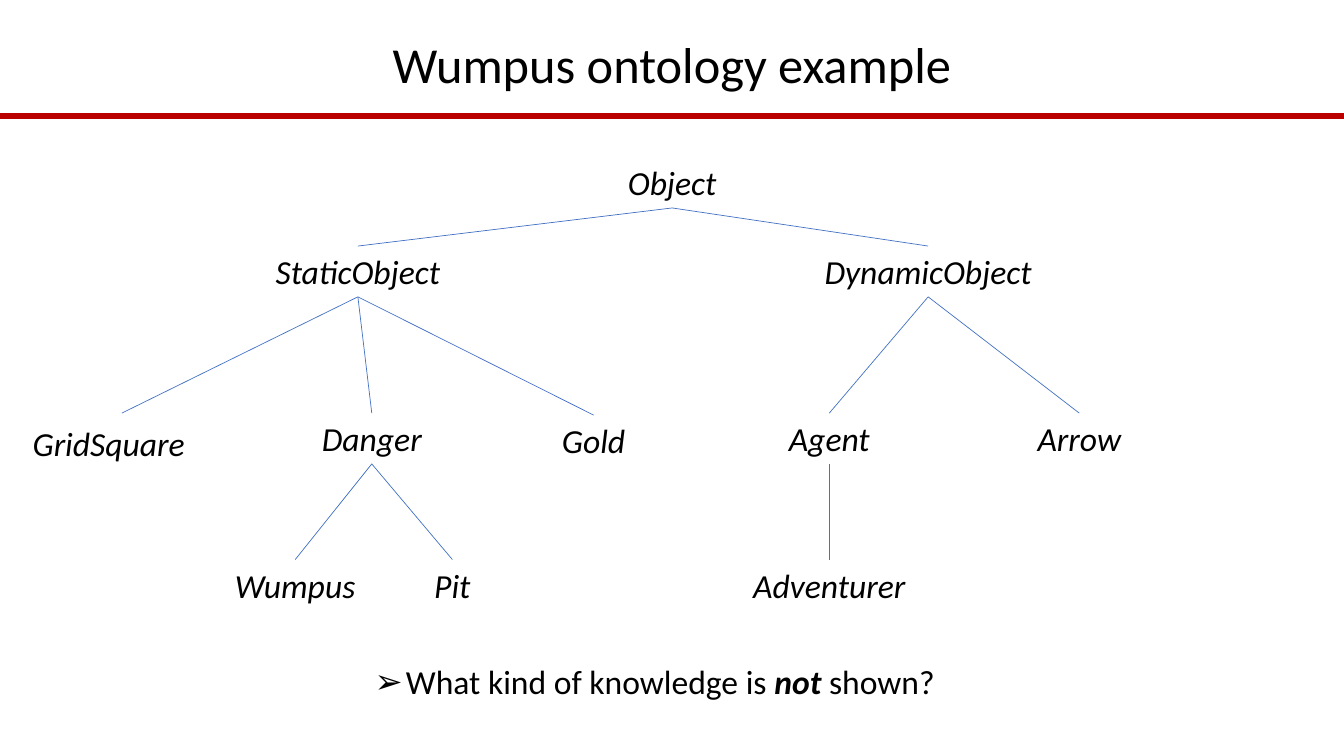
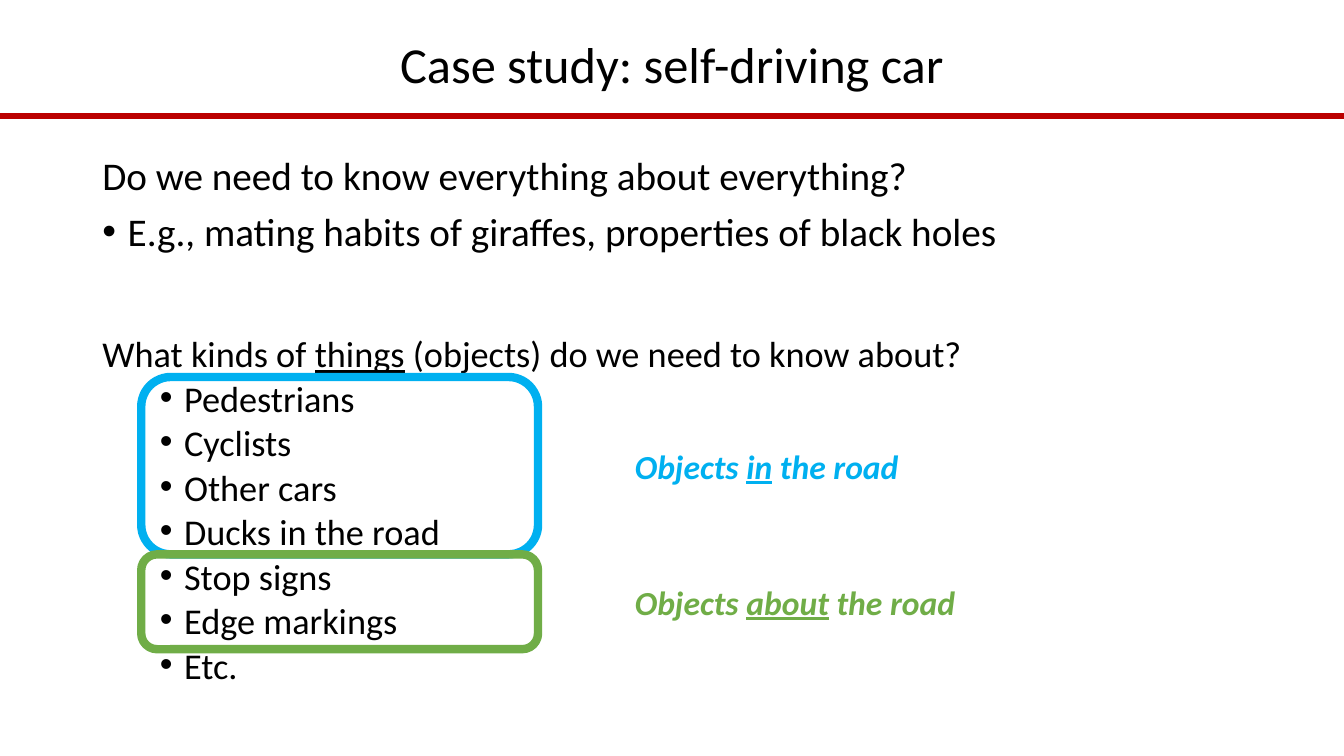
from lxml.etree import SubElement
from pptx import Presentation
from pptx.dml.color import RGBColor
from pptx.enum.shapes import MSO_CONNECTOR as Connector, MSO_SHAPE as Shape
from pptx.enum.text import MSO_ANCHOR as Anchor, PP_ALIGN as Align
from pptx.oxml.ns import qn
from pptx.util import Cm, Pt

FONT = "Calibri"
BLACK, RED, BLUE = "000000", "BB0000", "4472C4"
CYAN, GREEN = "00B0F0", "70AD47"
SLIDE_WIDTH, SLIDE_HEIGHT = 33.87, 19.05
MARGIN, BODY_WIDTH = 2.33, 29.21
LABEL_HEIGHT = 1.28
NODE_WIDTH = 7.92

NODES = {
    "Object": (16.94, 3.96, NODE_WIDTH),
    "StaticObject": (9.02, 6.2, NODE_WIDTH),
    "DynamicObject": (23.39, 6.2, NODE_WIDTH),
    "GridSquare": (2.74, 10.52, 4.72),
    "Danger": (9.37, 10.41, NODE_WIDTH),
    "Gold": (14.96, 10.46, NODE_WIDTH),
    "Agent": (20.9, 10.41, NODE_WIDTH),
    "Arrow": (27.2, 10.41, NODE_WIDTH),
    "Wumpus": (7.44, 14.1, NODE_WIDTH),
    "Pit": (11.4, 14.1, NODE_WIDTH),
    "Adventurer": (20.9, 14.1, NODE_WIDTH),
}
CHILDREN = {
    "Object": ["StaticObject", "DynamicObject"],
    "StaticObject": ["GridSquare", "Danger", "Gold"],
    "DynamicObject": ["Agent", "Arrow"],
    "Danger": ["Wumpus", "Pit"],
    "Agent": ["Adventurer"],
}
LOOSE_ENDS = {"GridSquare": (3.07, 10.41)}

ROAD_THINGS = ["Pedestrians", "Cyclists", "Other cars", "Ducks in the road",
               "Stop signs", "Edge markings", "Etc."]


def color(value):
    return RGBColor.from_string(value)


def add_text_frame(slide, left, top, width, height, anchor=Anchor.TOP):
    text_box = slide.shapes.add_textbox(Cm(left), Cm(top), Cm(width), Cm(height))
    text_box.text_frame.word_wrap = True
    text_box.text_frame.vertical_anchor = anchor
    return text_box


def set_bullet(paragraph, character, left, hanging):
    properties = paragraph._p.get_or_add_pPr()
    properties.set("marL", str(Cm(left)))
    properties.set("indent", str(-Cm(hanging)))
    SubElement(properties, qn("a:buFont")).set("typeface", "Arial")
    SubElement(properties, qn("a:buChar")).set("char", character)


def write(text_box, runs, size, tint=BLACK, align=Align.LEFT, bold=None,
          italic=None, spacing=None, before=None, bullet=None):
    frame = text_box.text_frame
    paragraph = frame.paragraphs[0]
    if paragraph.runs:
        paragraph = frame.add_paragraph()
    paragraph.alignment = align
    paragraph.line_spacing = spacing
    paragraph.space_before = None if before is None else Pt(before)
    if bullet:
        set_bullet(paragraph, *bullet)
    font = paragraph.font
    font.name, font.size = FONT, Pt(size)
    font.bold, font.italic = bold, italic
    font.color.rgb = color(tint)
    for text, *styles in runs:
        run = paragraph.add_run()
        run.text = text
        for style in styles:
            setattr(run.font, style, True)


def add_line(slide, start, end, tint, weight):
    points = [Cm(length) for length in (*start, *end)]
    line = slide.shapes.add_connector(Connector.STRAIGHT, *points)
    line.line.color.rgb = color(tint)
    line.line.width = Pt(weight)
    SubElement(line._element.spPr, qn("a:effectLst"))
    return line


def add_titled_slide(presentation, title):
    slide = presentation.slides.add_slide(presentation.slide_layouts[6])
    add_line(slide, (0, 2.92), (SLIDE_WIDTH, 2.92), RED, 4)
    title_box = add_text_frame(slide, MARGIN, 0.86, BODY_WIDTH, 1.68, Anchor.MIDDLE)
    write(title_box, [(title,)], 36, align=Align.CENTER, spacing=0.9)
    return slide


def add_node(slide, name):
    center, top, width = NODES[name]
    node = add_text_frame(slide, center - width / 2, top, width, LABEL_HEIGHT)
    write(node, [(name,)], 24, align=Align.CENTER, italic=True)
    return node


def add_branch(slide, nodes, parent, child):
    center, top, _ = NODES[parent]
    end = LOOSE_ENDS.get(child, NODES[child][:2])
    branch = add_line(slide, (center, top + LABEL_HEIGHT), end, BLUE, 0.5)
    branch.begin_connect(nodes[parent], 2)
    if child not in LOOSE_ENDS:
        branch.end_connect(nodes[child], 0)


def add_frame(slide, top, height, tint):
    frame = slide.shapes.add_shape(
        Shape.ROUNDED_RECTANGLE, Cm(3.56), Cm(top), Cm(10), Cm(height))
    frame.shadow.inherit = False
    frame.fill.background()
    frame.line.color.rgb = color(tint)
    frame.line.width = Pt(6)


def add_group_label(slide, top, word, tint):
    label = add_text_frame(slide, 15.75, top, 9.91, LABEL_HEIGHT)
    runs = [("Objects ",), (word, "underline"), (" the road",)]
    write(label, runs, 24, tint, bold=True, italic=True)


def build_ontology(presentation):
    slide = add_titled_slide(presentation, "Wumpus ontology example")
    nodes = {name: add_node(slide, name) for name in NODES}
    for parent, children in CHILDREN.items():
        for child in children:
            add_branch(slide, nodes, parent, child)
    question = add_text_frame(slide, 9.19, 16.54, 24.1, LABEL_HEIGHT)
    runs = [("What kind of knowledge is ",), ("not ", "bold", "italic"), ("shown?",)]
    write(question, runs, 24, bullet=("➢", 0.79, 0.79))


def build_case_study(presentation):
    slide = add_titled_slide(presentation, "Case study: self-driving car")
    intro = add_text_frame(slide, MARGIN, 3.81, BODY_WIDTH, 3.45)
    intro_style = {"size": 28, "spacing": 0.9, "before": 10}
    write(intro, [("Do we need to know everything about everything?",)], **intro_style)
    write(intro, [("E.g., mating habits of giraffes, properties of black holes",)],
          bullet=("•", 0.64, 0.64), **intro_style)

    things = add_text_frame(slide, MARGIN, 8.53, BODY_WIDTH, 9.35)
    things_style = {"size": 25.9, "spacing": 0.7, "before": 10}
    runs = [("What kinds of ",), ("things", "underline"),
            (" (objects) do we need to know about?",)]
    write(things, runs, **things_style)
    for thing in ROAD_THINGS:
        write(things, [(thing,)], bullet=("•", 2.06, 0.61), **things_style)

    add_frame(slide, 9.5, 4.47, CYAN)
    add_frame(slide, 13.97, 2.39, GREEN)
    add_group_label(slide, 11.1, "in", CYAN)
    add_group_label(slide, 14.53, "about", GREEN)


def main():
    presentation = Presentation()
    presentation.slide_width = Cm(SLIDE_WIDTH)
    presentation.slide_height = Cm(SLIDE_HEIGHT)
    build_ontology(presentation)
    build_case_study(presentation)
    presentation.save("out.pptx")


if __name__ == "__main__":
    main()
